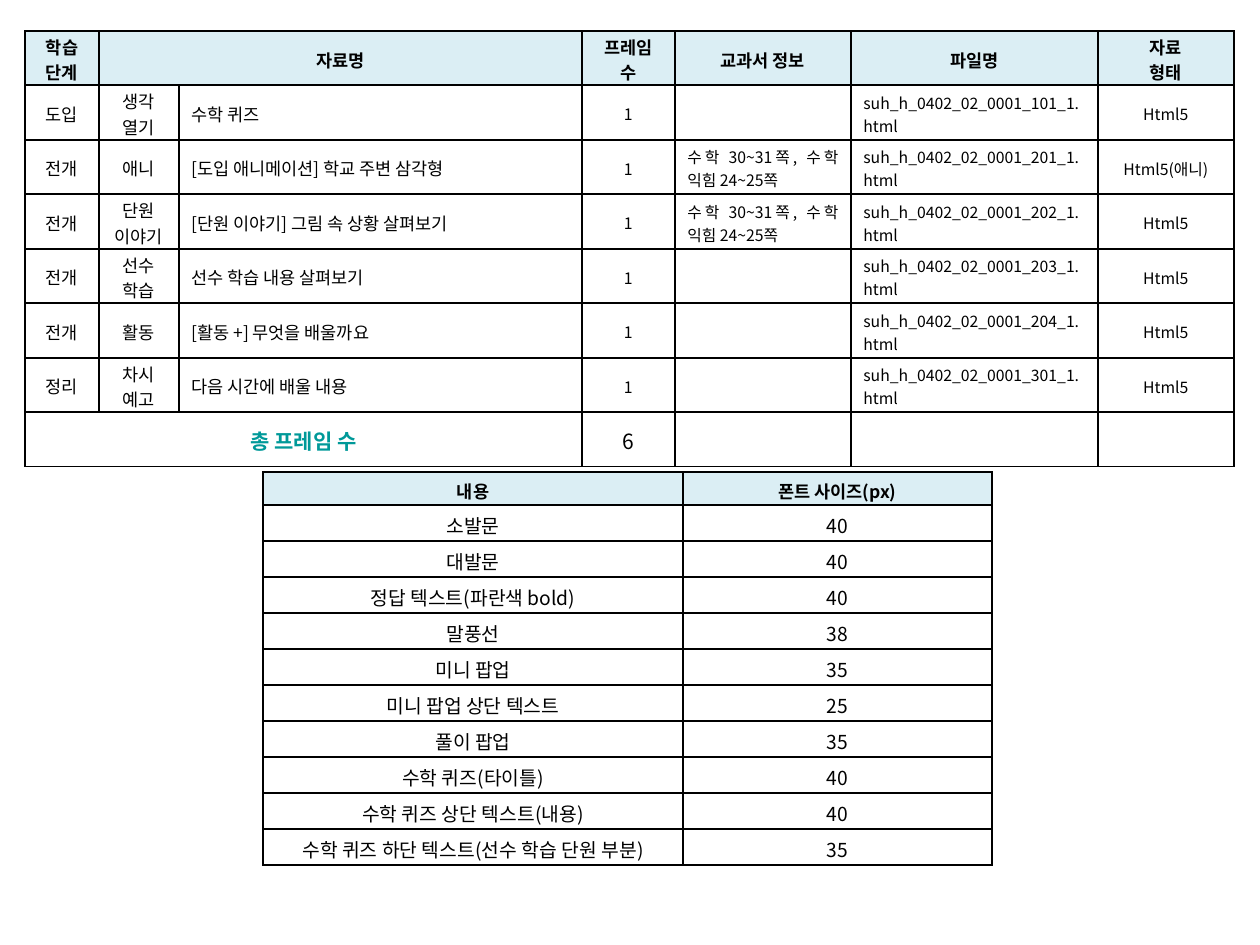
from lxml import etree
from pptx import Presentation
from pptx.dml.color import RGBColor
from pptx.enum.text import MSO_ANCHOR, PP_ALIGN
from pptx.oxml.ns import qn
from pptx.util import Pt

CENTER, LEFT, JUST = PP_ALIGN.CENTER, PP_ALIGN.LEFT, PP_ALIGN.JUSTIFY
MIDDLE, TOP = MSO_ANCHOR.MIDDLE, MSO_ANCHOR.TOP
FONT = "Noto Sans CJK KR"
HEX = {"ink": "000000", "head": "DBEEF4", "white": "FFFFFF", "teal": "009999"}


def px(n):
    return round(n * 914400 / 126)


def put(cell, text, size, align=CENTER, bold=False, ink="ink"):
    """Add text: a newline starts a paragraph, a vertical tab breaks a line."""
    frame = cell.text_frame
    for i, line in enumerate(text.split("\n") if text else []):
        para = frame.add_paragraph() if i else frame.paragraphs[0]
        para.alignment = align
        for j, part in enumerate(line.split("\v")):
            if j:
                para.add_line_break()
            run = para.add_run()
            run.text = part
            font = run.font
            font.name, font.size, font.bold = FONT, Pt(size), bold
            font.color.rgb = RGBColor.from_string(HEX[ink])
            east = etree.SubElement(run._r.get_or_add_rPr(), qn("a:ea"))
            east.set("typeface", FONT)


def grid(slide, left, top, cols, rows, pad, anchor, body):
    """Add a table with black borders, a tinted head row and the body fill."""
    shape = slide.shapes.add_table(len(rows), len(cols), px(left), px(top),
                                   px(sum(cols)), px(sum(rows)))
    table = shape.table
    table.first_row = table.horz_banding = False
    for col, width in zip(table.columns, cols):
        col.width = px(width)
    for r, height in enumerate(rows):
        table.rows[r].height = px(height)
        for cell in table.rows[r].cells:
            props = cell._tc.get_or_add_tcPr()
            for side in ("lnL", "lnR", "lnT", "lnB"):
                line = etree.SubElement(props, qn("a:" + side), w=str(Pt(1)))
                fill = etree.SubElement(line, qn("a:solidFill"))
                etree.SubElement(fill, qn("a:srgbClr"), val=HEX["ink"])
            tint = body if r else "head"
            if tint:
                cell.fill.solid()
                cell.fill.fore_color.rgb = RGBColor.from_string(HEX[tint])
            else:
                cell.fill.background()
            cell.vertical_anchor = anchor
            cell.margin_top, cell.margin_bottom = px(pad[0]), px(pad[1])
    return table


deck = Presentation()
deck.slide_width, deck.slide_height = px(1260), px(945)
slide = deck.slides.add_slide(deck.slide_layouts[6])

# Lesson materials
plan = grid(slide, 25, 31, [74, 80, 403, 93, 176, 247, 136], [54, 55] * 4,
            (3, 0), MIDDLE, None)
plan.cell(0, 1).merge(plan.cell(0, 2))
heads = ["학습 단계", "자료명", "", "프레임 수", "교과서 정보", "파일명", "자료\n형태"]
for c, text in enumerate(heads):
    put(plan.cell(0, c), text, 10, bold=True)

pages = "수학 30~31쪽, 수학 익힘 24~25쪽"
steps = [
    ("도입", "생각\n열기", "수학 퀴즈", "", "101", "Html5"),
    ("전개", "애니", "[도입 애니메이션] 학교 주변 삼각형", pages, "201", "Html5(애니)"),
    ("전개", "단원\n이야기", "[단원 이야기] 그림 속 상황 살펴보기", pages, "202", "Html5"),
    ("전개", "선수\v학습", "선수 학습 내용 살펴보기", "", "203", "Html5"),
    ("전개", "활동", "[활동 +] 무엇을 배울까요", "", "204", "Html5"),
    ("정리", "차시 예고", "다음 시간에 배울 내용", "", "301", "Html5"),
]
sizes = [10, 10, 10, 9, 9, 9, 9]
aligns = [CENTER, CENTER, LEFT, CENTER, JUST, JUST, CENTER]
for r, (stage, part, title, book, code, kind) in enumerate(steps, 1):
    name = f"suh_h_0402_02_0001_{code}_1.html"
    texts = [stage, part, title, "1", book, name, kind]
    for c, text in enumerate(texts):
        put(plan.cell(r, c), text, sizes[c], aligns[c])

# Total row
plan.cell(7, 0).merge(plan.cell(7, 2))
put(plan.cell(7, 0), "총 프레임 수", 12, bold=True, ink="teal")
put(plan.cell(7, 3), str(len(steps)), 12)

# Font sizes
fonts = [
    ("내용", "폰트 사이즈(px)"),
    ("소발문", "40"),
    ("대발문", "40"),
    ("정답 텍스트(파란색 bold)", "40"),
    ("말풍선", "38"),
    ("미니 팝업", "35"),
    ("미니 팝업 상단 텍스트", "25"),
    ("풀이 팝업", "35"),
    ("수학 퀴즈(타이틀)", "40"),
    ("수학 퀴즈 상단 텍스트(내용)", "40"),
    ("수학 퀴즈 하단 텍스트(선수 학습 단원 부분)", "35"),
]
guide = grid(slide, 263, 472, [420, 309], [33] + [36] * 10, (6, 2), TOP, "white")
for r, pair in enumerate(fonts):
    for c, text in enumerate(pair):
        put(guide.cell(r, c), text, 11 if r else 10, bold=r == 0)

deck.save("out.pptx")
